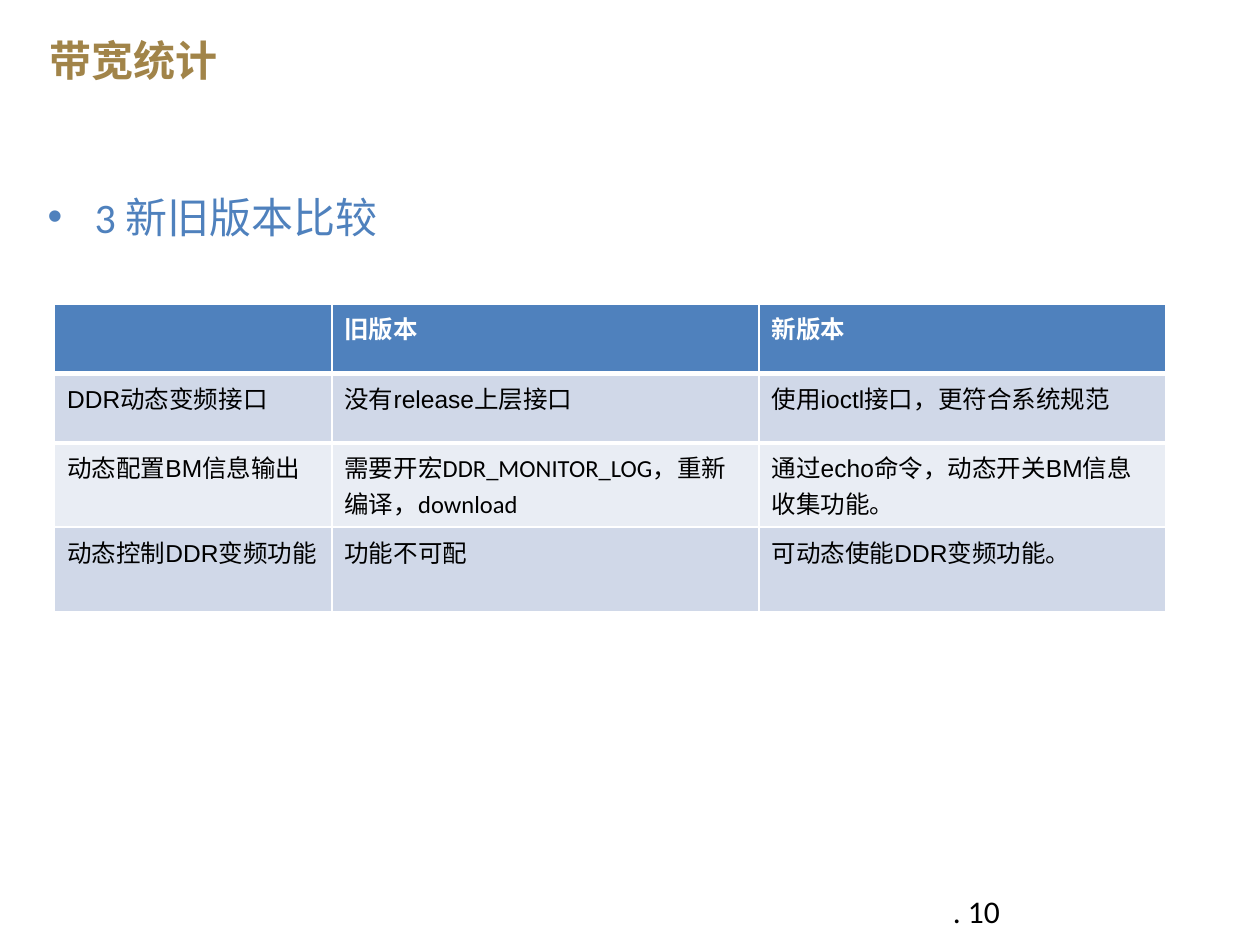
import pptx
import pptx.util
import pptx.dml.color
import pptx.oxml.ns
from dataclasses import dataclass
from lxml import etree
from pptx.util import Cm, Pt

# Content
HEADING = "带宽统计"
TOPIC = "3 新旧版本比较"
PAGE_MARK = ". 10"
COMPARISON = [
    ["", "旧版本", "新版本"],
    ["DDR动态变频接口", "没有release上层接口", "使用ioctl接口，更符合系统规范"],
    ["动态配置BM信息输出",
     ("需要开宏", "DDR_MONITOR_LOG，重新编译，download"),
     "通过echo命令，动态开关BM信息收集功能。"],
    ["动态控制DDR变频功能", "功能不可配", "可动态使能DDR变频功能。"],
]
COLUMN_WIDTHS = [5.59, 8.61, 8.2]
ROW_HEIGHTS = [1.4, 1.4, 1.7, 1.7]


@dataclass(frozen=True)
class Theme:
    gold: str = "A18449"
    blue: str = "4F81BD"
    white: str = "FFFFFF"
    black: str = "000000"
    bands: tuple = ("D0D8E8", "E9EDF4")
    cjk: str = "Noto Sans CJK SC"
    body: str = "Calibri"
    cell: str = "Arial"
    large: int = 24
    page: int = 18
    small: int = 14
    header_rule: int = 3


theme = Theme()
qn = pptx.oxml.ns.qn


def rgb(value):
    return pptx.dml.color.RGBColor.from_string(value)


def style(run, font, size, color, bold=False):
    run.font.name = font
    run.font.size = Pt(size)
    run.font.bold = bold
    run.font.color.rgb = rgb(color)
    east_asian = etree.Element(qn("a:ea"), typeface=theme.cjk)
    run.font._element.find(qn("a:latin")).addnext(east_asian)


def add_text(slide, box, text, *look):
    frame = slide.shapes.add_textbox(*map(Cm, box)).text_frame
    frame.word_wrap = True
    frame.text = text
    paragraph = frame.paragraphs[0]
    style(paragraph.runs[0], *look)
    return paragraph


def indent(paragraph, left, first=0, bullet=None):
    properties = paragraph._p.get_or_add_pPr()
    properties.set("marL", str(Cm(left)))
    properties.set("indent", str(Cm(first)))
    if bullet:
        etree.SubElement(properties, qn("a:buFont"), typeface="Arial")
        etree.SubElement(properties, qn("a:buChar"), char=bullet)


def rule(cell, edge):
    line = etree.Element(qn(edge), w=str(Pt(theme.header_rule)))
    color = etree.SubElement(line, qn("a:solidFill"))
    etree.SubElement(color, qn("a:srgbClr"), val=theme.white)
    cell._tc.get_or_add_tcPr().insert(0, line)


deck = pptx.Presentation()
deck.slide_width, deck.slide_height = Cm(25.4), Cm(19.05)
slide = deck.slides.add_slide(deck.slide_layouts[6])

# Heading, topic and page mark
add_text(slide, (0.74, 0.58, 16.97, 1.55), HEADING, theme.cjk, theme.large, theme.gold, True)
topic = add_text(slide, (0.71, 3.73, 23.83, 13.28), TOPIC, theme.body, theme.large, theme.blue)
indent(topic, 0.95, -0.95, "•")
page_mark = add_text(slide, (18.67, 17.86, 5.92, 0.79), PAGE_MARK,
                     theme.body, theme.page, theme.black)
indent(page_mark, 0.29)

# Comparison table: header row, then alternating bands
comparison = slide.shapes.add_table(
    len(COMPARISON), len(COLUMN_WIDTHS), Cm(1.1), Cm(6.13),
    Cm(sum(COLUMN_WIDTHS)), Cm(sum(ROW_HEIGHTS))).table
for column, width in zip(comparison.columns, COLUMN_WIDTHS):
    column.width = Cm(width)
for r, (entries, height) in enumerate(zip(COMPARISON, ROW_HEIGHTS)):
    comparison.rows[r].height = Cm(height)
    header = r == 0
    fill = theme.blue if header else theme.bands[(r - 1) % 2]
    for c, entry in enumerate(entries):
        cell = comparison.cell(r, c)
        cell.fill.solid()
        cell.fill.fore_color.rgb = rgb(fill)
        if r < 2:
            rule(cell, "a:lnB" if header else "a:lnT")
        parts = entry if isinstance(entry, tuple) else (entry,)
        for part, font in zip(parts, (theme.cell, theme.body)):
            if part:
                run = cell.text_frame.paragraphs[0].add_run()
                run.text = part
                style(run, font, theme.small, theme.white if header else theme.black, header)

deck.save("out.pptx")
